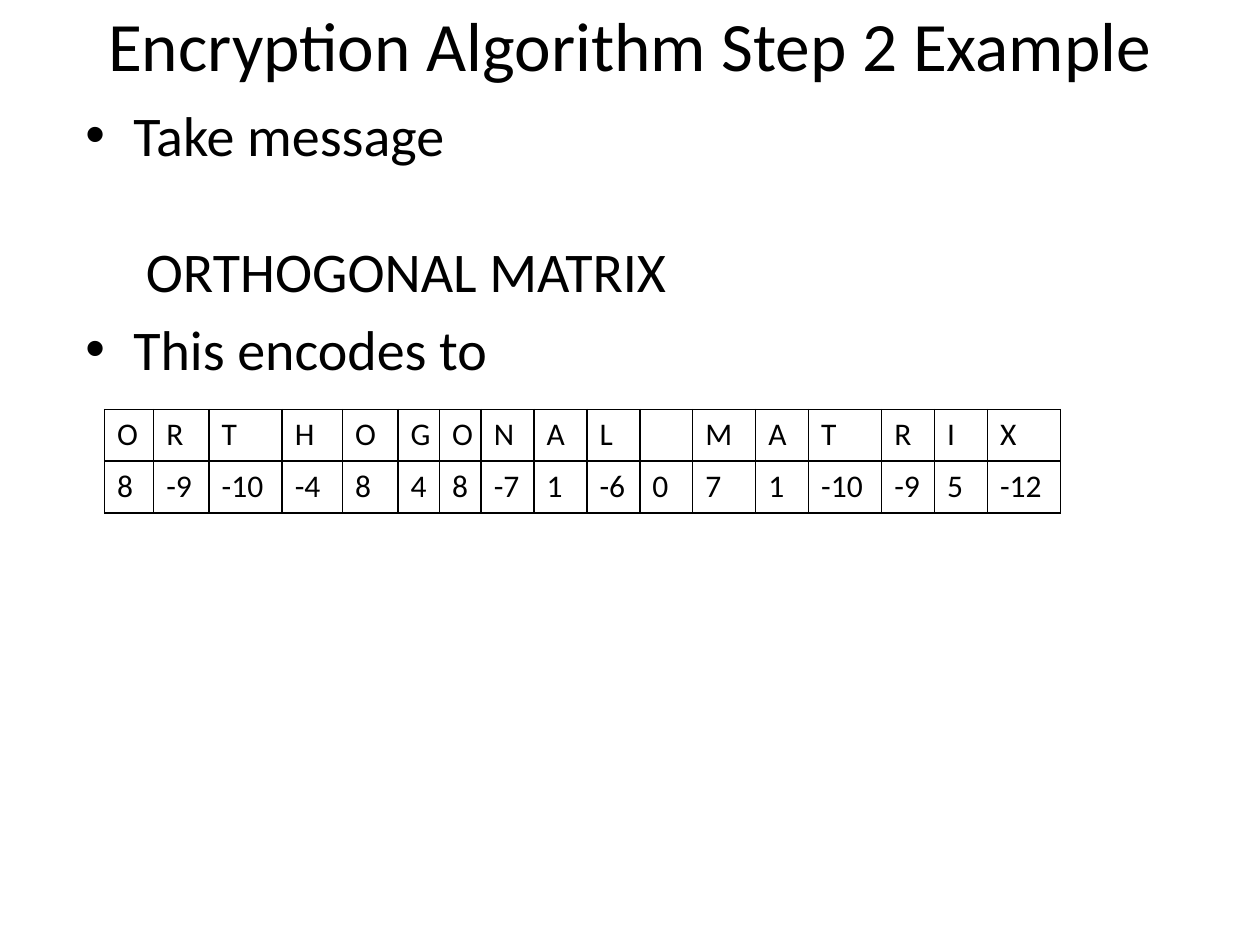
from dataclasses import dataclass

from lxml import etree
from pptx import Presentation
from pptx import util as u
from pptx.dml.color import RGBColor
from pptx.enum import text
from pptx.oxml import ns


@dataclass(frozen=True)
class Theme:
    font: str = "Calibri"
    ink: str = "000000"
    title_size: float = 39.6
    body_size: float = 32
    cell_size: float = 18
    border_width: float = 1


THEME = Theme()

MESSAGE = "ORTHOGONAL MATRIX"
CODES = [8, -9, -10, -4, 8, 4, 8, -7, 1, -6, 0, 7, 1, -10, -9, 5, -12]
COLUMN_WIDTHS = [0.39, 0.44, 0.58, 0.48, 0.44, 0.33, 0.33, 0.42, 0.42,
                 0.42, 0.42, 0.5, 0.42, 0.58, 0.42, 0.42, 0.58]
ROW_HEIGHT = 0.41


def format_runs(paragraph, size):
    for run in paragraph.runs:
        run.font.name = THEME.font
        run.font.size = u.Pt(size)
        run.font.color.rgb = RGBColor.from_string(THEME.ink)


def add_text_frame(slide, left, top, width, height):
    box = slide.shapes.add_textbox(u.Inches(left), u.Inches(top),
                                   u.Inches(width), u.Inches(height))
    box.text_frame.word_wrap = True
    return box.text_frame


def add_title(slide, wording):
    frame = add_text_frame(slide, 0.5, -0.17, 9, 1.03)
    frame.vertical_anchor = text.MSO_ANCHOR.MIDDLE
    frame.text = wording
    paragraph = frame.paragraphs[0]
    paragraph.alignment = text.PP_ALIGN.CENTER
    format_runs(paragraph, THEME.title_size)


def format_body(paragraph, left_margin, space_before, bullet=False):
    paragraph.space_before = u.Pt(space_before)
    format_runs(paragraph, THEME.body_size)
    properties = paragraph._p.get_or_add_pPr()
    properties.set("marL", str(u.Inches(left_margin)))
    if bullet:
        properties.set("indent", str(-u.Inches(left_margin)))
        etree.SubElement(properties, ns.qn("a:buFont"), typeface="Arial")
        etree.SubElement(properties, ns.qn("a:buChar"), char="•")


def add_body(slide):
    frame = add_text_frame(slide, 0.58, 0.75, 9, 4.95)
    frame.text = "\n".join(["Take message", MESSAGE, "This encodes to"])
    first, message, last = frame.paragraphs
    format_body(first, 0.38, 6.4, bullet=True)
    format_body(message, 0.48, 39)  # one line of space above the message
    format_body(last, 0.38, 6.4, bullet=True)


def add_borders(cell):
    properties = cell._tc.get_or_add_tcPr()
    for position, side in enumerate(("lnL", "lnR", "lnT", "lnB")):
        line = etree.Element(ns.qn(f"a:{side}"), w=str(u.Pt(THEME.border_width)))
        fill = etree.SubElement(line, ns.qn("a:solidFill"))
        etree.SubElement(fill, ns.qn("a:srgbClr"), val=THEME.ink)
        properties.insert(position, line)


def add_code_table(slide):
    rows = [[letter.strip() for letter in MESSAGE], [str(code) for code in CODES]]
    table = slide.shapes.add_table(
        len(rows), len(COLUMN_WIDTHS), u.Inches(0.83), u.Inches(3.25),
        u.Inches(sum(COLUMN_WIDTHS)), u.Inches(ROW_HEIGHT * len(rows))).table
    table.first_row = False
    table.horz_banding = False
    for column, width in zip(table.columns, COLUMN_WIDTHS):
        column.width = u.Inches(width)
    for row, values in zip(table.rows, rows):
        row.height = u.Inches(ROW_HEIGHT)
        for cell, value in zip(row.cells, values):
            cell.text = value
            format_runs(cell.text_frame.paragraphs[0], THEME.cell_size)
            cell.fill.background()
            add_borders(cell)


def main():
    presentation = Presentation()
    presentation.slide_width = u.Inches(10)
    presentation.slide_height = u.Inches(7.5)
    slide = presentation.slides.add_slide(presentation.slide_layouts[6])

    # Heading and bullets
    add_title(slide, "Encryption Algorithm Step 2 Example")
    add_body(slide)

    # Letters of the message above their codes
    add_code_table(slide)

    presentation.save("out.pptx")


if __name__ == "__main__":
    main()
